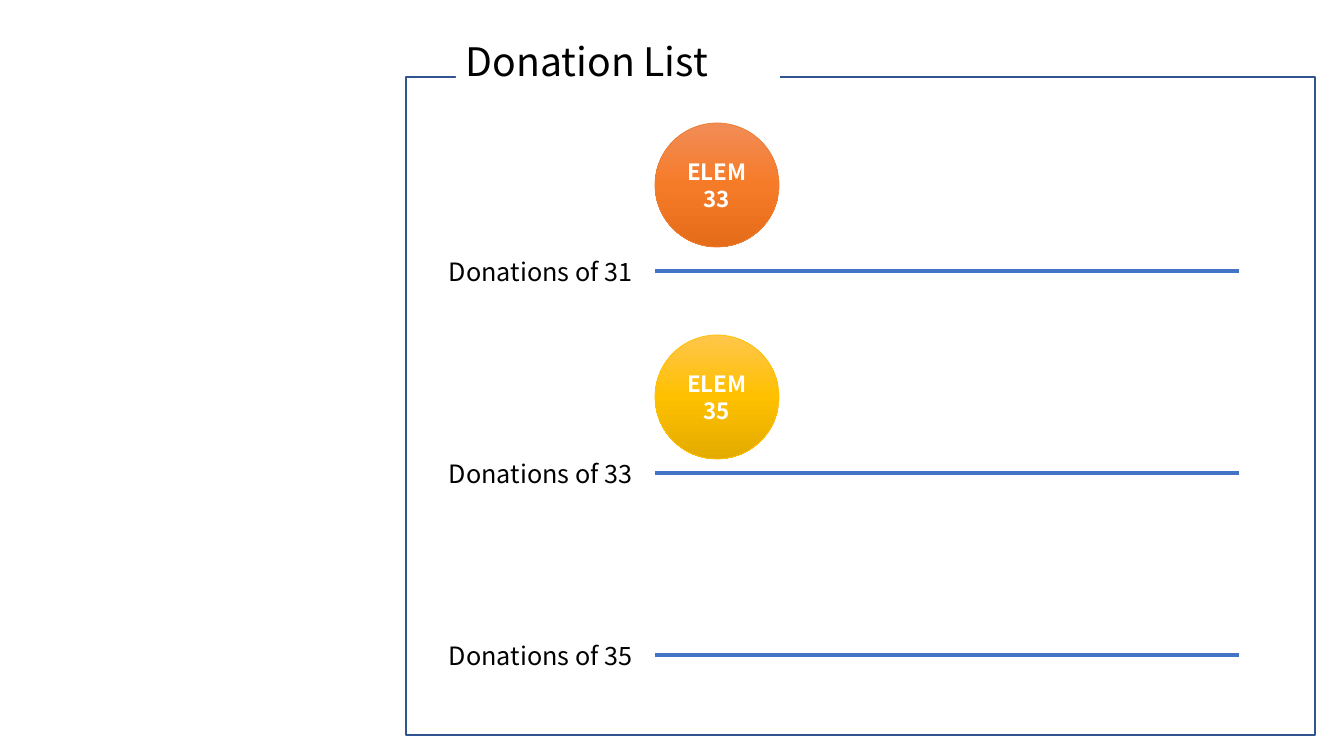
from copy import deepcopy
from dataclasses import dataclass

from lxml.etree import SubElement
from pptx import Presentation
from pptx.dml.color import RGBColor
from pptx.enum.shapes import MSO_CONNECTOR, MSO_SHAPE
from pptx.enum.text import MSO_ANCHOR, PP_ALIGN
from pptx.oxml.ns import qn
from pptx.util import Emu, Pt


@dataclass(frozen=True)
class Theme:
    font: str = "Noto Sans CJK KR"
    title_size: int = 28
    label_size: int = 18
    ball_size: int = 16
    paper: str = "FFFFFF"
    ink: str = "000000"
    frame: str = "325491"
    rule: str = "4472C4"
    orange: tuple = ("F18C57", "F67B28", "E56C19")
    orange_edge: str = "ED7D31"
    gold: tuple = ("FFC64B", "FFC000", "E3AB00")
    gold_edge: str = "FFC000"


theme = Theme()
TITLE = "Donation List"
ROWS = [("Donations of 31", 271), ("Donations of 33", 473), ("Donations of 35", 655)]
BALLS = [
    ("ELEM33", 123, theme.orange, theme.orange_edge),
    ("ELEM\n35", 335, theme.gold, theme.gold_edge),
]

FRAME = (406, 77, 909, 658)
TITLE_BOX = (456, 32, 324, 57)
RULE_LEFT, RULE_RIGHT = 533, 1239
LABEL_LEFT, LABEL_W, LABEL_H = 439, 216, 40
BALL_LEFT, BALL_D = 655, 124


def px(n):
    return Emu(round(n * 914400 / 100.8))


def rgb(value):
    return RGBColor.from_string(value)


def add_shape(kind, box, edge=None, width=1):
    sp = slide.shapes.add_shape(kind, *map(px, box))
    sp.shadow.inherit = False
    sp.fill.background()
    if edge:
        sp.line.color.rgb = rgb(edge)
        sp.line.width = Pt(width)
    else:
        sp.line.fill.background()
    return sp


def set_text(sp, text, size, color, align, anchor, bold=False):
    tf = sp.text_frame
    tf.word_wrap = True
    tf.vertical_anchor = anchor
    tf.text = text
    for p in tf.paragraphs:
        p.alignment = align
        p.font.name = theme.font
        p.font.size = Pt(size)
        p.font.bold = bold
        p.font.color.rgb = rgb(color)


def add_label(text, box, size):
    sp = add_shape(MSO_SHAPE.RECTANGLE, box)
    sp.fill.solid()
    sp.fill.fore_color.rgb = rgb(theme.paper)
    set_text(sp, text, size, theme.ink, PP_ALIGN.LEFT, MSO_ANCHOR.TOP)


def add_rule(y):
    line = slide.shapes.add_connector(
        MSO_CONNECTOR.STRAIGHT, px(RULE_LEFT), px(y), px(RULE_RIGHT), px(y))
    line.line.color.rgb = rgb(theme.rule)
    line.line.width = Pt(3)
    SubElement(line._element.spPr, qn("a:effectLst"))


def fill_gradient(sp, colors):
    sp.fill.gradient()
    sp.fill.gradient_angle = 270
    stops = sp._element.spPr.find(qn("a:gradFill")).find(qn("a:gsLst"))
    stops.append(deepcopy(stops[-1]))
    for i, (stop, color) in enumerate(zip(sp.fill.gradient_stops, colors)):
        stop.position = i / (len(colors) - 1)
        stop.color.rgb = rgb(color)


prs = Presentation()
prs.slide_width, prs.slide_height = px(1344), px(756)
slide = prs.slides.add_slide(prs.slide_layouts[6])

add_shape(MSO_SHAPE.RECTANGLE, FRAME, theme.frame)
add_label(TITLE, TITLE_BOX, theme.title_size)

for text, y in ROWS:
    add_rule(y)
    add_label(text, (LABEL_LEFT, y - LABEL_H / 2, LABEL_W, LABEL_H), theme.label_size)

for text, top, colors, edge in BALLS:
    ball = add_shape(MSO_SHAPE.OVAL, (BALL_LEFT, top, BALL_D, BALL_D), edge, 0.5)
    fill_gradient(ball, colors)
    set_text(ball, text, theme.ball_size, theme.paper,
             PP_ALIGN.CENTER, MSO_ANCHOR.MIDDLE, bold=True)

prs.save("out.pptx")
